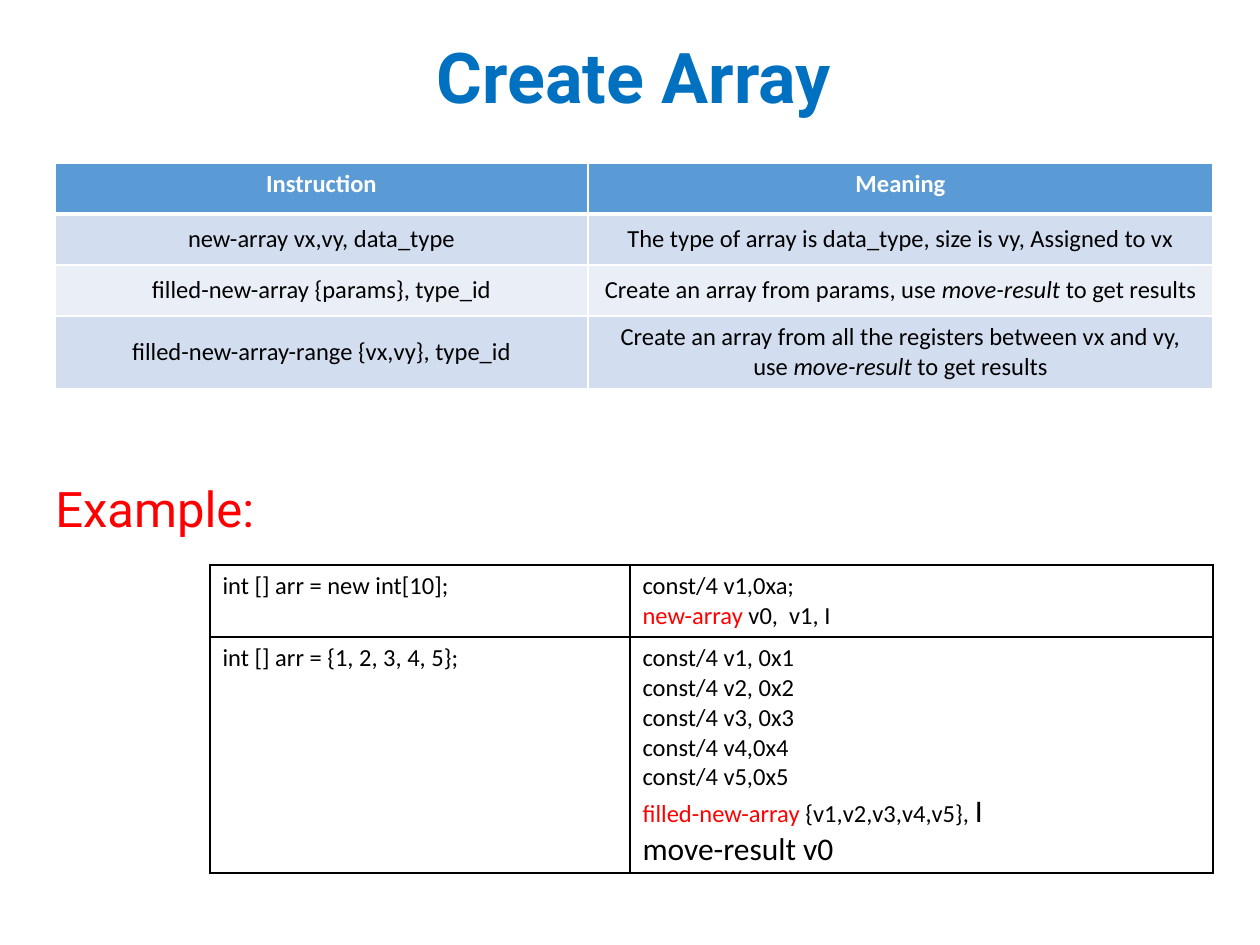
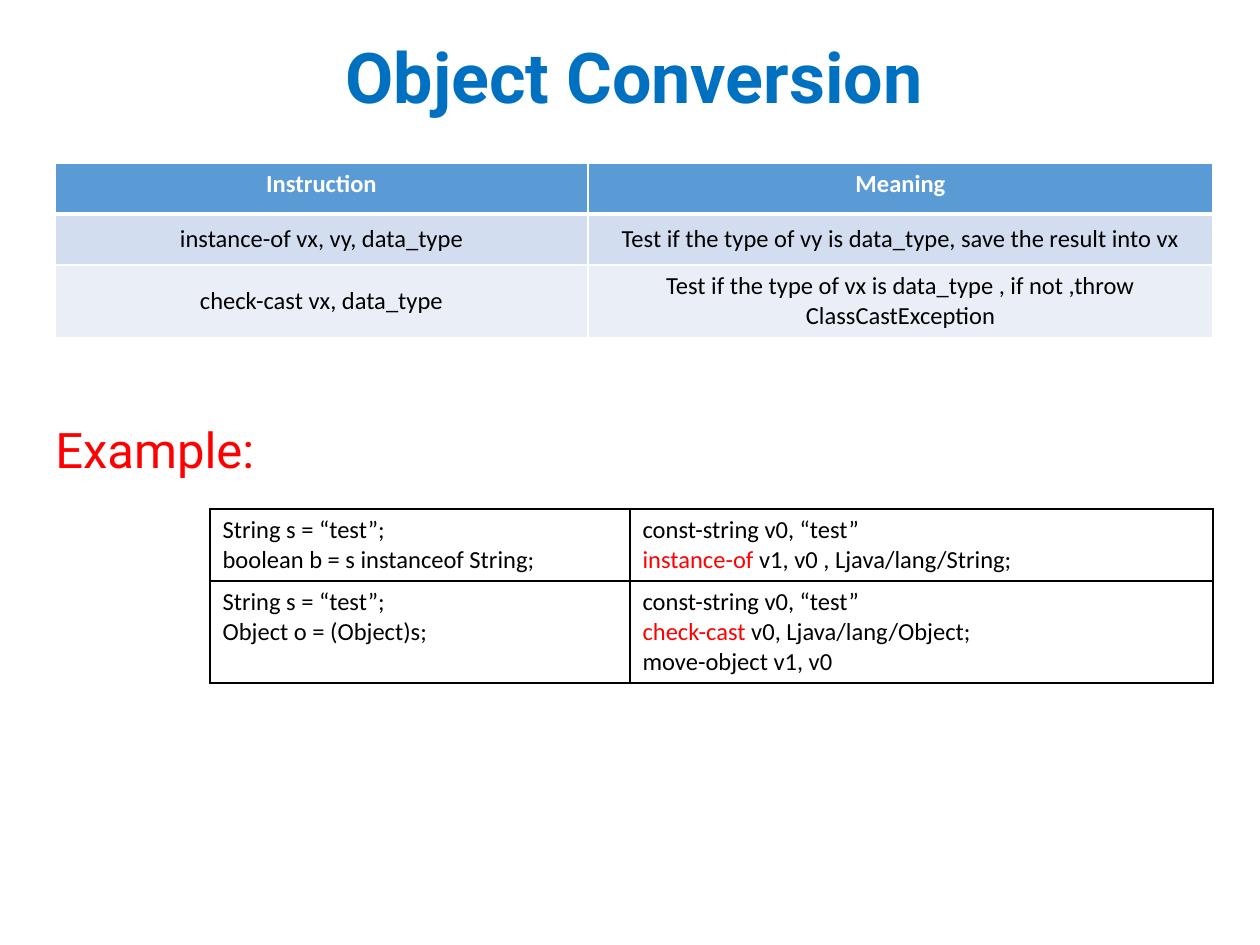
from lxml import etree
from pptx import Presentation
from pptx.dml.color import RGBColor
from pptx.enum.text import MSO_ANCHOR, MSO_AUTO_SIZE, PP_ALIGN
from pptx.oxml.ns import qn
from pptx.util import Emu, Pt

CENTER, LEFT = PP_ALIGN.CENTER, PP_ALIGN.LEFT
TOP, MIDDLE = MSO_ANCHOR.TOP, MSO_ANCHOR.MIDDLE
NO_FIT = MSO_AUTO_SIZE.NONE
TITLE_ONLY = 5

BLUE = RGBColor(0x00, 0x70, 0xC0)
RED = RGBColor(0xFF, 0x00, 0x00)
BLACK = RGBColor(0x00, 0x00, 0x00)
WHITE = RGBColor(0xFF, 0xFF, 0xFF)
HEADER_FILL = RGBColor(0x5B, 0x9B, 0xD5)
BAND_FILLS = (RGBColor(0xD2, 0xDE, 0xEF), RGBColor(0xEA, 0xEF, 0xF7))

PX_PER_INCH = 126
TITLE_FORMAT = {"name": "Roboto", "size": Pt(40), "bold": True, "color": BLUE}
LABEL_FORMAT = {"name": "Roboto", "size": Pt(28), "color": RED}
CELL_FORMAT = {"name": "Calibri", "size": Pt(14), "bold": False, "color": BLACK}
HEADER_FORMAT = CELL_FORMAT | {"bold": True, "color": WHITE}
KEYWORD = {"color": RED}
ITALIC = {"italic": True}
LARGE = {"size": Pt(18)}

INSTRUCTION_COLUMNS = (533, 625)
EXAMPLE_COLUMNS = (420, 583)
ROW, TALL_ROW = 51, 72
HEADER = ("Instruction", "Meaning")


def px(length):
    return Emu(round(length * 914400 / PX_PER_INCH))


def format_font(font, formats):
    for name, value in formats.items():
        if name == "color":
            font.color.rgb = value
        else:
            setattr(font, name, value)


def write_line(para, line, formats, align=LEFT):
    """A line is a string, or a list of strings and (text, format) pairs."""
    para.alignment = align
    for part in [line] if isinstance(line, str) else line:
        text, extra = (part, {}) if isinstance(part, str) else part
        span = para.add_run()
        span.text = text
        format_font(span.font, formats | extra)


def write_cell(cell, lines, formats, align, anchor):
    cell.vertical_anchor = anchor
    frame = cell.text_frame
    for index, line in enumerate(lines):
        para = frame.add_paragraph() if index else frame.paragraphs[0]
        write_line(para, line, formats, align)


def set_borders(cell, color, top=1, bottom=1):
    properties = cell._tc.get_or_add_tcPr()
    widths = {"lnL": 1, "lnR": 1, "lnT": top, "lnB": bottom}
    for index, (side, width) in enumerate(widths.items()):
        line = etree.Element(qn(f"a:{side}"), w=str(Pt(width)))
        fill = etree.SubElement(line, qn("a:solidFill"))
        etree.SubElement(fill, qn("a:srgbClr"), val=str(color))
        properties.insert(index, line)


def add_grid(page, left, top, columns, heights):
    frame = page.shapes.add_table(len(heights), len(columns), px(left), px(top),
                                  px(sum(columns)), px(sum(heights)))
    grid = frame.table
    grid.first_row = grid.horz_banding = False
    for column, width in zip(grid.columns, columns):
        column.width = px(width)
    for row, height in zip(grid.rows, heights):
        row.height = px(height)
    return grid


def add_title(page, text):
    title = page.shapes.title
    title.left, title.top, title.width, title.height = map(px, (55, 30, 1158, 102))
    frame = title.text_frame
    frame.auto_size = NO_FIT
    frame.vertical_anchor = MIDDLE
    para = frame.paragraphs[0]
    para.line_spacing = 0.9
    write_line(para, text, TITLE_FORMAT, CENTER)


def add_instruction_table(page, rows, heights):
    grid = add_grid(page, 55, 163, INSTRUCTION_COLUMNS, heights)
    for row_index, row in enumerate([HEADER, *rows]):
        is_header = row_index == 0
        for column_index, line in enumerate(row):
            cell = grid.cell(row_index, column_index)
            cell.fill.solid()
            cell.fill.fore_color.rgb = (
                HEADER_FILL if is_header else BAND_FILLS[(row_index - 1) % 2])
            set_borders(cell, WHITE, top=3 if row_index == 1 else 1,
                        bottom=3 if is_header else 1)
            write_cell(cell, [line], HEADER_FORMAT if is_header else CELL_FORMAT,
                       CENTER, TOP if is_header else MIDDLE)


def add_example_label(page, top):
    box = page.shapes.add_textbox(px(43), px(top), px(232), px(72))
    frame = box.text_frame
    frame.word_wrap = False
    write_line(frame.paragraphs[0], "Example:", LABEL_FORMAT)


def add_example_table(page, top, rows, heights):
    grid = add_grid(page, 210, top, EXAMPLE_COLUMNS, heights)
    for row_index, row in enumerate(rows):
        for column_index, lines in enumerate(row):
            cell = grid.cell(row_index, column_index)
            cell.fill.background()
            set_borders(cell, BLACK)
            write_cell(cell, lines, CELL_FORMAT, LEFT, TOP)


def add_page(deck, title, instructions, heights, label_top, example_top,
             examples, example_heights):
    page = deck.slides.add_slide(deck.slide_layouts[TITLE_ONLY])
    add_title(page, title)
    add_instruction_table(page, instructions, heights)
    add_example_label(page, label_top)
    add_example_table(page, example_top, examples, example_heights)


def main():
    deck = Presentation()
    deck.slide_width, deck.slide_height = px(1260), px(945)

    # Creating arrays
    move_result = [("move-result ", ITALIC), "to get results"]
    add_page(
        deck, "Create Array",
        instructions=[
            ("new-array vx,vy, data_type",
             "The type of array is data_type, size is vy, Assigned to vx"),
            ("filled-new-array {params}, type_id",
             ["Create an array from params, use ", *move_result]),
            ("filled-new-array-range {vx,vy}, type_id",
             ["Create an array from all the registers between vx and vy, use ",
              *move_result]),
        ],
        heights=(ROW, ROW, ROW, TALL_ROW),
        label_top=472, example_top=565,
        examples=[
            (["int [] arr = new int[10];"],
             ["const/4 v1,0xa;", [("new-array", KEYWORD), " v0,  v1, I"]]),
            (["int [] arr = {1, 2, 3, 4, 5};"],
             ["const/4 v1, 0x1", "const/4 v2, 0x2", "const/4 v3, 0x3",
              "const/4 v4,0x4", "const/4 v5,0x5",
              [("filled-new-array", KEYWORD), " {v1,v2,v3,v4,v5}, ", ("I", LARGE)],
              [("move-result v0", LARGE)]]),
        ],
        example_heights=(TALL_ROW, 236))

    # Converting objects
    add_page(
        deck, "Object Conversion",
        instructions=[
            ("instance-of vx, vy, data_type",
             "Test if the type of vy is data_type, save the result into vx"),
            ("check-cast vx, data_type",
             "Test if the type of vx is data_type , if not ,throw ClassCastException"),
        ],
        heights=(ROW, ROW, TALL_ROW),
        label_top=413, example_top=509,
        examples=[
            (["String s = “test”;", "boolean b = s instanceof String;"],
             ["const-string v0, “test”",
              [("instance-of", KEYWORD), " v1, v0 , Ljava/lang/String;"]]),
            (["String s = “test”;", "Object o = (Object)s;"],
             ["const-string v0, “test”",
              [("check-cast", KEYWORD), " v0, Ljava/lang/Object;"],
              "move-object v1, v0"]),
        ],
        example_heights=(TALL_ROW, 102))

    deck.save("out.pptx")


if __name__ == "__main__":
    main()
